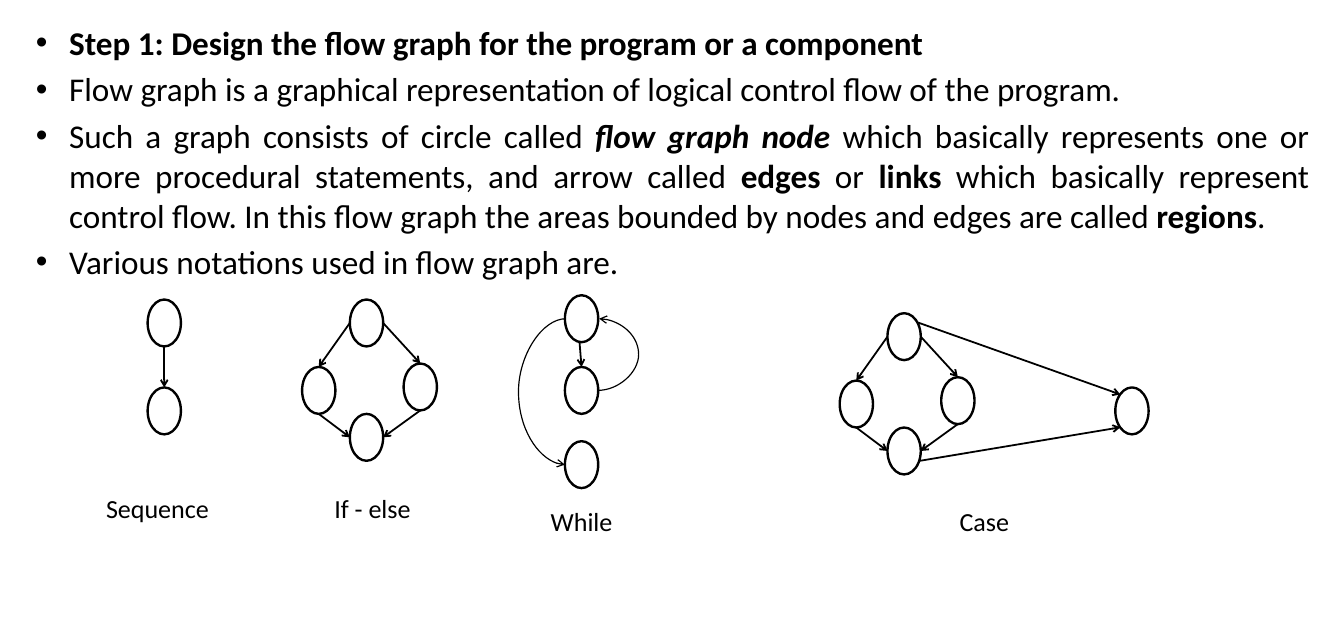
from lxml import etree
from pptx import Presentation
from pptx.dml.color import RGBColor
from pptx.enum.shapes import MSO_CONNECTOR, MSO_SHAPE
from pptx.enum.text import MSO_AUTO_SIZE, PP_ALIGN
from pptx.oxml.ns import qn
from pptx.util import Inches, Pt

BLACK = RGBColor(0, 0, 0)
FONT = "Calibri"
OVAL = MSO_SHAPE.OVAL
LINE, CURVE = MSO_CONNECTOR.STRAIGHT, MSO_CONNECTOR.CURVE
CENTER, JUSTIFY = PP_ALIGN.CENTER, PP_ALIGN.JUSTIFY
FIXED = MSO_AUTO_SIZE.NONE

POINTS = [
    [("Step 1: Design the flow graph for the program or a component", "b")],
    [("Flow graph is a graphical representation of logical control flow of the program.", "")],
    [
        ("Such a graph consists of circle called ", ""),
        ("flow graph node ", "bi"),
        ("which basically represents one or more procedural statements, and arrow called ", ""),
        ("edges ", "b"),
        ("or ", ""),
        ("links ", "b"),
        ("which basically represent control flow. In this flow graph the areas bounded "
         "by nodes and edges are called ", ""),
        ("regions", "b"),
        (".", ""),
    ],
    [("Various notations used in flow graph are. ", "")],
]

NODE_W, NODE_H = 0.39, 0.55
SITES = {
    "top": (0.5, 0), "bottom": (0.5, 1), "left": (0, 0.5), "right": (1, 0.5),
    "foot": (0.44, 1), "left in": (0.03, 0.5), "right out": (1.03, 0.5),
    "high right": (0.92, 0.2), "low right": (0.97, 0.71),
    "high left": (0.15, 0.15), "low left": (0.15, 0.85),
}
GLUE = {"left": 2, "left in": 2, "right": 6, "right out": 6}

FORK = [(0.56, 0), (0, 0.79), (1.19, 0.75), (0.56, 1.34)]
FORK_EDGES = [
    (0, "left", 1, "top"), (0, "right", 2, "top"),
    (1, "bottom", 3, "left"), (2, "bottom", 3, "right"),
]
GRAPHS = [
    {"label": "Sequence", "at": (1.73, 3.51), "text": (1.02, 5.72),
     "nodes": [(0, 0), (0, 1.03)], "edges": [(0, "bottom", 1, "top")], "bends": []},
    {"label": "If - else", "at": (3.54, 3.51), "text": (3.54, 5.72),
     "nodes": FORK, "edges": FORK_EDGES, "bends": []},
    {"label": "Case", "at": (9.84, 3.67), "text": (10.71, 5.88),
     "nodes": FORK + [(3.23, 0.87)],
     "edges": FORK_EDGES + [(0, "high right", 4, "high left"),
                            (3, "low right", 4, "low left")], "bends": []},
    {"label": "While", "at": (6.62, 3.46), "text": (5.99, 5.88),
     "nodes": [(0, 0), (0, 0.84), (0, 1.71)], "edges": [(0, "foot", 1, "top")],
     "bends": [(0, "left in", 2, "left", -0.55), (1, "right", 0, "right out", 0.47)]},
]


def write(para, text, size, align, bold=False, italic=False):
    para.alignment = align
    run = para.add_run()
    run.text = text
    font = run.font
    font.name, font.size = FONT, Pt(size)
    font.bold, font.italic = bold, italic
    font.color.rgb = BLACK


def draw_node(group, x, y):
    node = group.shapes.add_shape(OVAL, Inches(x), Inches(y), Inches(NODE_W), Inches(NODE_H))
    node.shadow.inherit = False
    node.fill.background()
    node.line.color.rgb = BLACK
    node.line.width = Pt(2)
    return node


def draw_edge(group, kind, start, end, width):
    edge = group.shapes.add_connector(kind, *[Inches(v) for v in start + end])
    edge.line.color.rgb = BLACK
    edge.line.width = Pt(width)
    etree.SubElement(edge.line._get_or_add_ln(), qn("a:tailEnd"), type="arrow")
    etree.SubElement(edge._element.spPr, qn("a:effectLst"))
    return edge


def bend_edge(edge, ratio, ends):
    geom = edge._element.spPr.find(qn("a:prstGeom"))
    guides = geom.find(qn("a:avLst"))
    if guides is None:
        guides = etree.SubElement(geom, qn("a:avLst"))
    etree.SubElement(guides, qn("a:gd"), name="adj1", fmla=f"val {round(ratio * 100000)}")
    links = edge._element.find(".//" + qn("p:cNvCxnSpPr"))
    for tag, (node, site) in zip(("a:stCxn", "a:endCxn"), ends):
        etree.SubElement(links, qn(tag), id=str(node.shape_id), idx=str(GLUE[site]))


def draw_graph(slide, graph):
    left, top = graph["at"]
    group = slide.shapes.add_group_shape()
    spots = [(left + x, top + y) for x, y in graph["nodes"]]
    nodes = [draw_node(group, x, y) for x, y in spots]

    def site(index, name):
        (x, y), (fx, fy) = spots[index], SITES[name]
        return x + fx * NODE_W, y + fy * NODE_H

    for a, out, b, into in graph["edges"]:
        draw_edge(group, LINE, site(a, out), site(b, into), 1.5)
    for a, out, b, into, reach in graph["bends"]:
        start, end = site(a, out), site(b, into)
        edge = draw_edge(group, CURVE, start, end, 1)
        bend_edge(edge, reach / (end[0] - start[0]), [(nodes[a], out), (nodes[b], into)])

    x, y = graph["text"]
    box = slide.shapes.add_textbox(Inches(x), Inches(y), Inches(1.65), Inches(0.47))
    box.text_frame.word_wrap = True
    write(box.text_frame.paragraphs[0], graph["label"], 22, CENTER)


def fill_body(body):
    body.left, body.top = Inches(0.32), Inches(0.21)
    body.width, body.height = Inches(15.12), Inches(7.17)
    frame = body.text_frame
    frame.auto_size = FIXED
    for i, runs in enumerate(POINTS):
        para = frame.add_paragraph() if i else frame.paragraphs[0]
        for text, style in runs:
            write(para, text, 28, JUSTIFY, bold="b" in style, italic="i" in style)
        props = para._p.get_or_add_pPr()
        props.set("marL", str(Inches(0.39)))
        props.set("indent", str(-Inches(0.39)))


def main():
    deck = Presentation()
    deck.slide_width, deck.slide_height = Inches(15.75), Inches(7.5)
    slide = deck.slides.add_slide(deck.slide_layouts[1])
    title = slide.shapes.title._element
    title.getparent().remove(title)
    fill_body(slide.placeholders[1])
    for graph in GRAPHS:
        draw_graph(slide, graph)
    deck.save("out.pptx")


if __name__ == "__main__":
    main()
